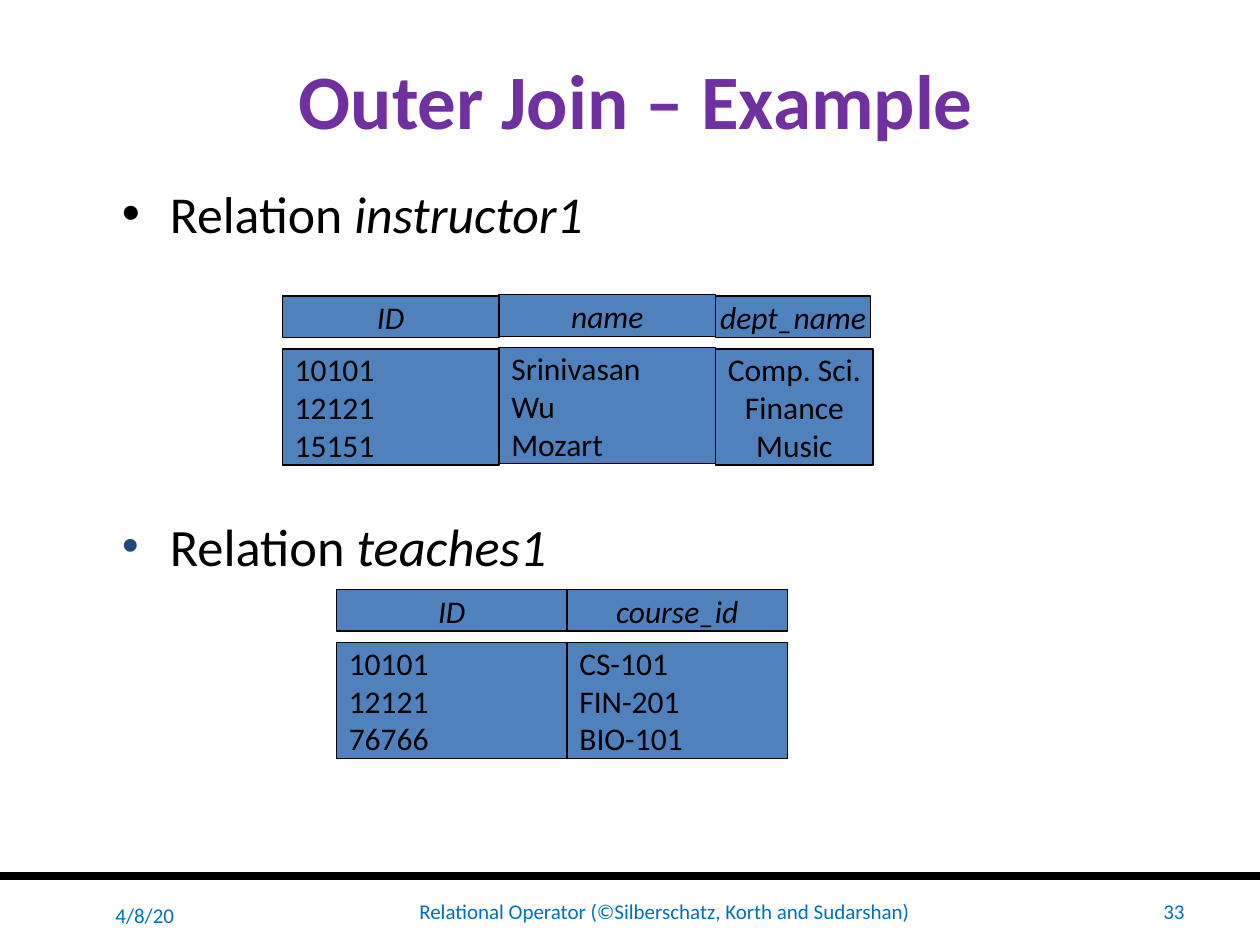
from lxml.etree import SubElement
from pptx import Presentation
from pptx.dml.color import RGBColor
from pptx.enum.shapes import MSO_CONNECTOR, MSO_SHAPE
from pptx.enum.text import MSO_ANCHOR as Anchor, PP_ALIGN as Align
from pptx.oxml.ns import qn
from pptx.util import Inches, Pt

BLACK = RGBColor(0x00, 0x00, 0x00)
PURPLE = RGBColor(0x70, 0x30, 0xA0)
NAVY = RGBColor(0x1F, 0x49, 0x7D)
FOOTER_BLUE = RGBColor(0x00, 0x70, 0xC0)
CELL_BLUE = RGBColor(0x4F, 0x81, 0xBD)
FONT = "Calibri"

# Content
TITLE = "Outer Join – Example"
HEADINGS = [  # relation, top, width, size, line spacing, bullet colour, bullet size %
    ("instructor1", 1.39, 7.5, 29.6, 1.0, BLACK, 100),
    ("teaches1", 4.13, 7.69, 30, 0.8, NAVY, 90),
]
# Column: attribute, values, header width, body width, alignment, vertical shift
RELATIONS = [
    (2.24, 2.35, [
        ("ID", ["10101", "12121", "15151"], 1.72, 1.72, Align.LEFT, 0),
        ("name", ["Srinivasan", "Wu", "Mozart"], 1.72, 1.72, Align.LEFT, -0.01),
        ("dept_name", ["Comp. Sci.", "Finance", "Music"], 1.23, 1.25, Align.CENTER, 0),
    ]),
    (2.67, 4.68, [
        ("ID", ["10101", "12121", "76766"], 1.83, 1.83, Align.LEFT, 0),
        ("course_id", ["CS-101", "FIN-201", "BIO-101"], 1.75, 1.75, Align.LEFT, 0),
    ]),
]
FOOTERS = [  # text, left, width, height, alignment
    ("4/8/20", 0.39, 1.09, 0.47, Align.RIGHT),
    ("Relational Operator (©Silberschatz, Korth and Sudarshan)", 1.64, 7.27, 0.4, Align.CENTER),
    ("33", 9.06, 0.44, 0.4, Align.RIGHT),
]
HEADER_HEIGHT, BODY_OFFSET, BODY_HEIGHT = 0.33, 0.42, 0.92
RULE_TOP, FOOTER_TOP = 6.95, 7.03
BULLET_INDENT = 0.38

presentation = Presentation()
presentation.slide_width, presentation.slide_height = Inches(10), Inches(7.5)
slide = presentation.slides.add_slide(presentation.slide_layouts[6])


def write_text(shape, lines, size=18, color=BLACK, bold=False, italic=False,
               align=Align.LEFT, anchor=Anchor.MIDDLE, wrap=True):
    """Fill a shape with lines, each a string or a list of (text, italic) runs."""
    frame = shape.text_frame
    frame.word_wrap, frame.vertical_anchor = wrap, anchor
    for index, line in enumerate(lines):
        paragraph = frame.add_paragraph() if index else frame.paragraphs[0]
        paragraph.alignment = align
        for text, slanted in [(line, italic)] if isinstance(line, str) else line:
            run = paragraph.add_run()
            run.text = text
            font = run.font
            font.name, font.size, font.bold, font.italic = FONT, Pt(size), bold, slanted
            font.color.rgb = color


def add_text(lines, left, top, width, height, **text_format):
    box = slide.shapes.add_textbox(*map(Inches, (left, top, width, height)))
    write_text(box, lines, **text_format)
    return box


def add_cell(lines, left, top, width, height, **text_format):
    cell = slide.shapes.add_shape(
        MSO_SHAPE.RECTANGLE, *map(Inches, (left, top, width, height)))
    cell.shadow.inherit = False
    cell.fill.solid()
    cell.fill.fore_color.rgb = CELL_BLUE
    cell.line.color.rgb = BLACK
    cell.line.width = Pt(0.75)
    write_text(cell, lines, **text_format)


def add_bullet(paragraph, color, percent):
    properties = paragraph._p.get_or_add_pPr()
    properties.set("marL", str(Inches(BULLET_INDENT)))
    properties.set("indent", str(-Inches(BULLET_INDENT)))
    bullet_color = SubElement(properties, qn("a:buClr"))
    SubElement(bullet_color, qn("a:srgbClr"), val=str(color))
    SubElement(properties, qn("a:buSzPct"), val=str(percent * 1000))
    SubElement(properties, qn("a:buFont"), typeface="Arial")
    SubElement(properties, qn("a:buChar"), char="•")


# Footer rule
rule = slide.shapes.add_connector(
    MSO_CONNECTOR.STRAIGHT, 0, Inches(RULE_TOP), presentation.slide_width, Inches(RULE_TOP))
rule.line.color.rgb = BLACK
rule.line.width = Pt(4.5)
SubElement(rule._element.spPr, qn("a:effectLst"))

# Title and bulleted headings
add_text([TITLE], 0.55, 0.16, 9, 1.25, size=44, color=PURPLE, bold=True, align=Align.CENTER)
for relation, top, width, size, spacing, bullet_color, percent in HEADINGS:
    heading = add_text([[("Relation ", False), (relation, True)]], 0.87, top, width, 0.53,
                       size=size, anchor=Anchor.TOP)
    paragraph = heading.text_frame.paragraphs[0]
    paragraph.line_spacing = spacing
    add_bullet(paragraph, bullet_color, percent)

# Relations: a header cell above one body cell per column
for left, top, columns in RELATIONS:
    for attribute, values, header_width, body_width, align, shift in columns:
        add_cell([attribute], left, top + shift, header_width, HEADER_HEIGHT,
                 italic=True, align=Align.CENTER, wrap=False)
        add_cell(values, left, top + shift + BODY_OFFSET, body_width, BODY_HEIGHT,
                 align=align, wrap=align == Align.LEFT)
        left += header_width

# Footer
for text, left, width, height, align in FOOTERS:
    add_text([text], left, FOOTER_TOP, width, height, size=12, color=FOOTER_BLUE, align=align)

presentation.save("out.pptx")
